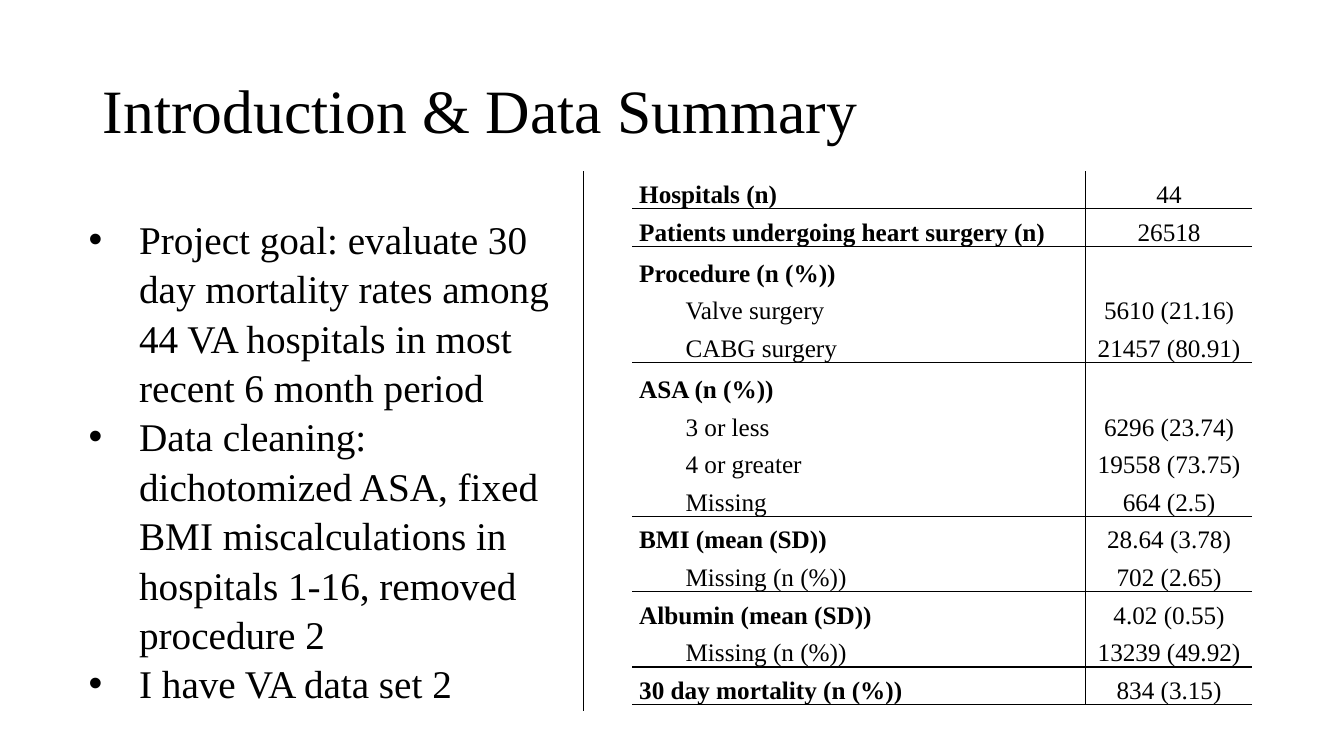
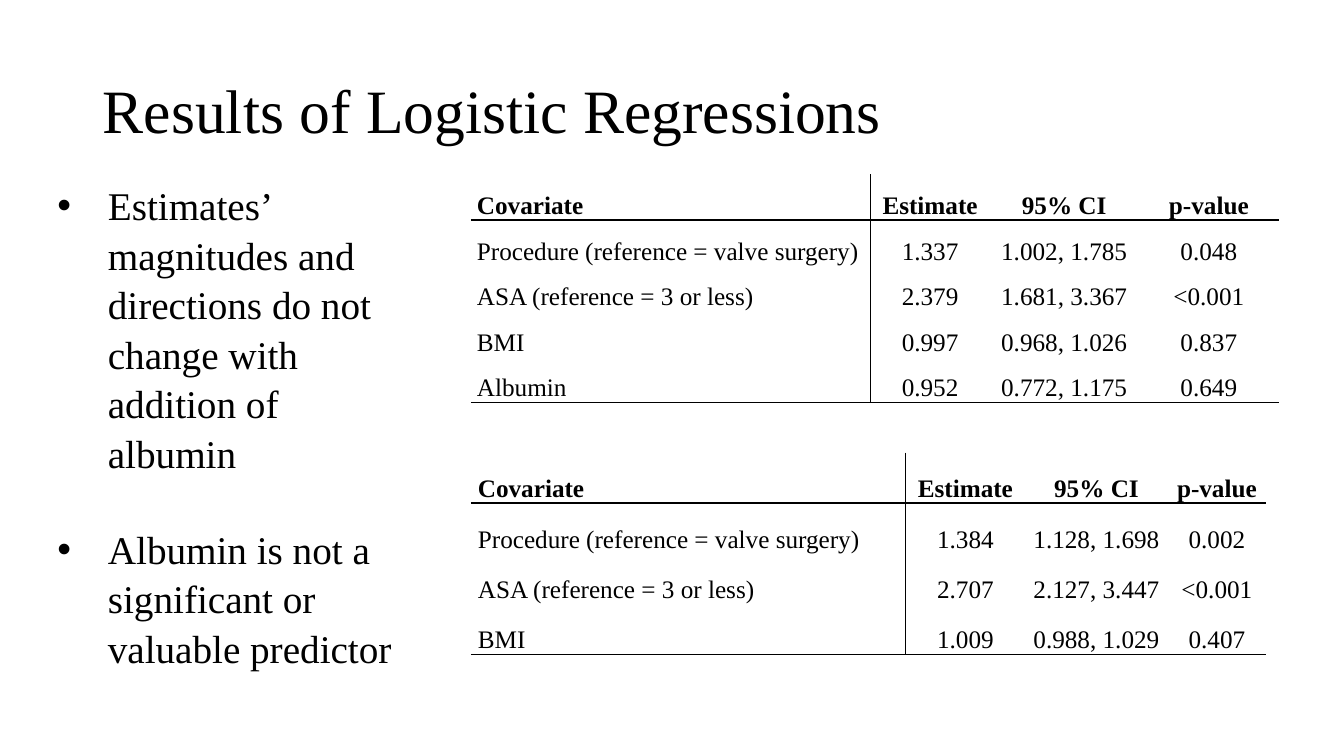
import pptx
import pptx.util
import pptx.dml.color
import pptx.enum.shapes
import pptx.enum.text
import pptx.oxml
import pptx.oxml.ns

# Content: (label, value, sub-rows)
GROUPS = [
    ("Hospitals (n)", "44", []),
    ("Patients undergoing heart surgery (n)", "26518", []),
    ("Procedure (n (%))", "", [
        ("Valve surgery", "5610 (21.16)"),
        ("CABG surgery", "21457 (80.91)")]),
    ("ASA (n (%))", "", [
        ("3 or less", "6296 (23.74)"),
        ("4 or greater", "19558 (73.75)"),
        ("Missing", "664 (2.5)")]),
    ("BMI (mean (SD))", "28.64 (3.78)", [("Missing (n (%))", "702 (2.65)")]),
    ("Albumin (mean (SD))", "4.02 (0.55)", [("Missing (n (%))", "13239 (49.92)")]),
    ("30 day mortality (n (%))", "834 (3.15)", []),
]
HEAD = ("Covariate", "Estimate", "95% CI", "p-value")
PROC = "Procedure (reference = valve surgery)"
ASA = "ASA (reference = 3 or less)"
FULL = [
    (PROC, "1.337", "1.002, 1.785", "0.048"),
    (ASA, "2.379", "1.681, 3.367", "<0.001"),
    ("BMI", "0.997", "0.968, 1.026", "0.837"),
    ("Albumin", "0.952", "0.772, 1.175", "0.649"),
]
SHORT = [
    (PROC, "1.384", "1.128, 1.698", "0.002"),
    (ASA, "2.707", "2.127, 3.447", "<0.001"),
    ("BMI", "1.009", "0.988, 1.029", "0.407"),
]
GOALS = [
    "Project goal: evaluate 30 day mortality rates among 44 VA hospitals "
    "in most recent 6 month period",
    "Data cleaning: dichotomized ASA, fixed BMI miscalculations in "
    "hospitals 1-16, removed procedure 2",
    "I have VA data set 2",
]
FINDS = [
    "Estimates’ magnitudes and directions do not change with addition of albumin",
    "Albumin is not a significant or valuable predictor",
]

# Shared style
FONT, INK = "Times New Roman", "000000"
PLAIN = "{2D5ABB26-0587-4C30-8999-92F81FD0307C}"
TITLE = (92, 40, 1150, 145)
TALL = 41
Pt = pptx.util.Pt
ALIGN = pptx.enum.text.PP_ALIGN
ANCHOR = pptx.enum.text.MSO_ANCHOR
FIT = pptx.enum.text.MSO_AUTO_SIZE


def px(n):
    return pptx.util.Emu(round(n * 9144))


def ink(code):
    return pptx.dml.color.RGBColor.from_string(code)


def put(item, **vals):
    for name, val in vals.items():
        setattr(item, name, val)


def place(shape, box):
    put(shape, **dict(zip(("left", "top", "width", "height"), map(px, box))))


def write(para, text, size, bold=False, **form):
    put(para, **form)
    para.text = text
    put(para.font, name=FONT, size=Pt(size), bold=bold)
    para.font.color.rgb = ink(INK)


def indent(para, left, first):
    props = para._p.get_or_add_pPr()
    props.set("marL", str(px(left)))
    props.set("indent", str(px(first)))


def start(deck, title, box, items, gap=0):
    """Add a slide with its title and bulleted list."""
    slide = deck.slides.add_slide(deck.slide_layouts[1])
    head, body = slide.placeholders
    place(head, TITLE)
    put(head.text_frame, vertical_anchor=ANCHOR.MIDDLE, auto_size=FIT.NONE)
    write(head.text_frame.paragraphs[0], title, 44,
          alignment=ALIGN.LEFT, line_spacing=0.9)
    place(body, box)
    frame = body.text_frame
    put(frame, auto_size=FIT.NONE, word_wrap=True)
    for i, text in enumerate(items):
        para = frame.add_paragraph() if i else frame.paragraphs[0]
        write(para, text, 28, line_spacing=1.05,
              space_before=Pt(gap if i else 0), space_after=Pt(0))
        indent(para, 50, -50)
    return slide


def edge(cell, sides):
    """Draw the named cell borders, and none on the others."""
    props = cell._tc.get_or_add_tcPr()
    for side in "LRTB":
        fill = (f'<a:solidFill><a:srgbClr val="{INK}"/></a:solidFill>'
                if side in sides else "<a:noFill/>")
        props.append(pptx.oxml.parse_xml(
            f'<a:ln{side} {pptx.oxml.ns.nsdecls("a")} w="{Pt(1)}">{fill}</a:ln{side}>'))


def grid(slide, box, cols, rows, pad):
    """Each row is (texts, number of bold cells, label indent, rule below, height)."""
    shape = slide.shapes.add_table(len(rows), len(cols), *map(px, box))
    table = shape.table
    shape._element.graphic.graphicData.tbl.tblPr.find(
        pptx.oxml.ns.qn("a:tableStyleId")).text = PLAIN
    put(table, first_row=False, horz_banding=False)
    for col, wide in zip(table.columns, cols):
        col.width = px(wide)
    fixed = [row[4] for row in rows if row[4]]
    rest = (box[3] - sum(fixed)) / (len(rows) - len(fixed))
    above = False
    for r, (texts, bold, shift, rule, high) in enumerate(rows):
        table.rows[r].height = px(high or rest)
        for c, text in enumerate(texts):
            cell = table.cell(r, c)
            put(cell, margin_left=px(pad), margin_right=px(pad), margin_top=0,
                margin_bottom=0, vertical_anchor=ANCHOR.BOTTOM)
            para = cell.text_frame.paragraphs[0]
            write(para, text, 18, c < bold, line_spacing=1.07,
                  alignment=ALIGN.CENTER if c else ALIGN.LEFT)
            if shift and not c:
                indent(para, 0, shift)
            edge(cell, {0: "R", 1: "L"}.get(c, "") + "T" * above + "B" * rule)
            cell.fill.background()
        above = rule


def summary(groups):
    rows = []
    for label, value, subs in groups:
        rows.append(((label, value), 1, 0, not subs, 0 if value else TALL))
        for i, sub in enumerate(subs, 1):
            rows.append((sub, 0, 46, i == len(subs), 0))
    return rows


def model(data):
    last = len(data) - 1
    return [(HEAD, len(HEAD), 0, True, 0)] + [
        (row, 0, 0, i == last, 0) for i, row in enumerate(data)]


def main():
    deck = pptx.Presentation()
    put(deck, slide_width=px(1333), slide_height=px(750))

    # Introduction
    intro = start(deck, "Introduction & Data Summary", (78, 206, 515, 528), GOALS)
    grid(intro, (627, 170, 615, 529), (450, 165), summary(GROUPS), 7)
    line = intro.shapes.add_connector(
        pptx.enum.shapes.MSO_CONNECTOR.STRAIGHT, *map(px, (579, 170, 579, 705)))
    line.line.color.rgb = ink(INK)
    line.line.width = Pt(0.5)
    line._element.spPr.append(pptx.oxml.parse_xml(
        f'<a:effectLst {pptx.oxml.ns.nsdecls("a")}/>'))

    # Results
    result = start(deck, "Results of Logistic Regressions",
                   (47, 173, 375, 481), FINDS, 33.6)
    grid(result, (467, 173, 802, 226), (396, 119, 147, 140), model(FULL), 6)
    grid(result, (467, 449, 789, 200), (431, 119, 141, 98), model(SHORT), 7)

    deck.save("out.pptx")


if __name__ == "__main__":
    main()
